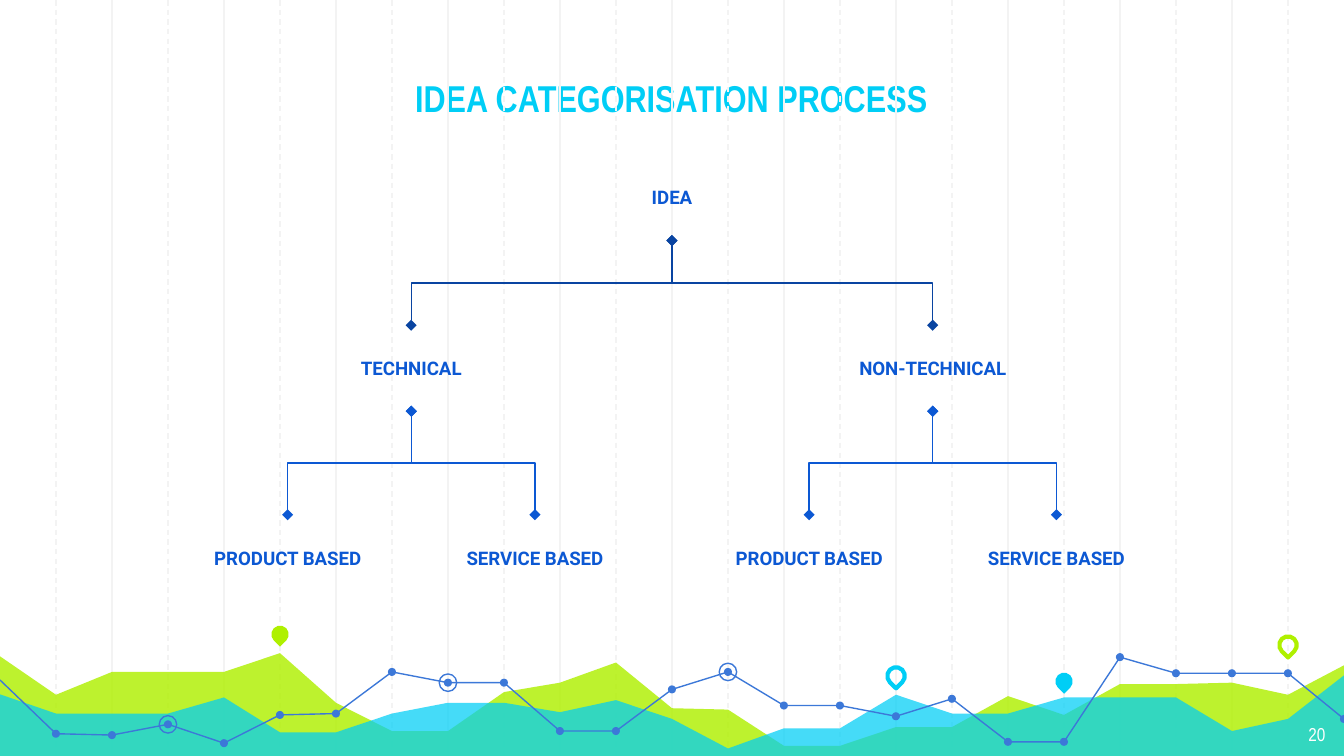
from itertools import chain

from lxml import etree
from pptx import Presentation
from pptx import util as u
from pptx.dml.color import RGBColor
from pptx.enum import dml, shapes, text
from pptx.oxml.ns import qn

TITLE = "IDEA CATEGORISATION PROCESS"
PAGE_NUMBER = "20"
LEVELS = [
    ["IDEA"],
    ["TECHNICAL", "NON-TECHNICAL"],
    ["PRODUCT BASED", "SERVICE BASED", "PRODUCT BASED", "SERVICE BASED"],
]
LEVEL_TOPS = [1.15, 2.42, 3.83]
BRANCH_OFFSETS = [1.94, 0.92]
NODE_SIZE = (1.68, 0.64)

GREEN_HILL = [4.87, 5.17, 5, 5, 5, 4.86, 5.23, 5.44, 5.44, 5.15, 5.08, 4.93, 5.27,
              5.28, 5.55, 5.55, 5.41, 5.41, 5.18, 5.32, 5.09, 5.09, 5.08, 5.17, 4.94]
CYAN_HILL = [5.16, 5.31, 5.31, 5.31, 5.19, 5.45, 5.45, 5.31, 5.23, 5.23, 5.3, 5.21, 5.35,
             5.57, 5.42, 5.42, 5.17, 5.31, 5.31, 5.19, 5.19, 5.19, 5.44, 5.35, 5.01]
TREND = [5.06, 5.46, 5.47, 5.39, 5.53, 5.32, 5.31, 5, 5.08, 5.08, 5.44, 5.44, 5.13,
         5, 5.25, 5.25, 5.33, 5.2, 5.52, 5.52, 4.89, 5.01, 5.01, 5.01, 5.35]
TREND_BREAKS = [0, 11, 20, 24]
RINGED_COLUMNS = [3, 8, 13]
PINS = [(5, 4.72, "green", True), (16, 5.03, "cyan", False),
        (19, 5.07, "cyan", True), (23, 4.8, "green", False)]

THEME = {
    "green": "AFF000", "cyan": "00CEF6", "trend": "3C78D8", "grid": "F3F3F3",
    "node": "0C58D3", "branches": ["0944A1", "0C58D3"], "white": "FFFFFF",
    "title_size": 20, "body_size": 10,
    "heading_font": "Arial Narrow", "node_font": "Roboto",
}
COLUMNS = 24
WIDTH, HEIGHT, HILL_FLOOR = 10, 5.625, 5.65
DOT, RING = 0.06, 0.13


def length(inches):
    return u.Cm(inches * 2.54)


def column_x(column):
    return column * WIDTH / COLUMNS


def apply(target, values):
    for name, value in values.items():
        setattr(target, name, value)


def color(name):
    return RGBColor.from_string(THEME.get(name, name))


def paint(shape, fill=None, outline=None, weight=0.75):
    shape.shadow.inherit = False
    if fill:
        shape.fill.solid()
        shape.fill.fore_color.rgb = color(fill)
    else:
        shape.fill.background()
    if outline:
        shape.line.color.rgb = color(outline)
        shape.line.width = u.Pt(weight)
    else:
        shape.line.fill.background()


def write(box, words, font, size, tint, align, anchor, bold=True):
    frame = box.text_frame
    apply(frame, {"word_wrap": True, "auto_size": text.MSO_AUTO_SIZE.NONE,
                  "vertical_anchor": anchor, "text": words,
                  **{f"margin_{side}": length(0.1) for side in ("left", "top", "right", "bottom")}})
    paragraph = frame.paragraphs[0]
    paragraph.alignment = align
    run_font = paragraph.runs[0].font
    apply(run_font, {"name": THEME[font], "size": u.Pt(THEME[size]), "bold": bold})
    run_font.color.rgb = color(tint)


def add_line(kind, start, end, tint):
    line = slide.shapes.add_connector(kind, *map(length, (*start, *end)))
    line.line.color.rgb = color(tint)
    line.line.width = u.Pt(0.75)
    etree.SubElement(line._element.spPr, qn("a:effectLst"))
    return line


def add_path(points, close):
    points = [(length(x), length(y)) for x, y in points]
    builder = slide.shapes.build_freeform(*points[0])
    builder.add_line_segments(points[1:], close=close)
    return builder.convert_to_shape()


def add_centered(kind, x, y, size):
    return slide.shapes.add_shape(
        kind, *map(length, (x - size / 2, y - size / 2, size, size)))


def add_hill(heights, tint, opacity):
    crest = [(column_x(i), y) for i, y in enumerate(heights)]
    crest[0], crest[-1] = (-0.02, heights[0]), (10.02, heights[-1])
    hill = add_path([*crest, (10.02, HILL_FLOOR), (-0.03, HILL_FLOOR)], True)
    paint(hill, fill=tint)
    tone = hill._element.spPr.find(f"{qn('a:solidFill')}/{qn('a:srgbClr')}")
    etree.SubElement(tone, qn("a:alpha"), val=str(opacity * 1000))


def add_branch(parent, child, tint):
    (px, py), (cx, cy) = parent, child
    middle_x, middle_y = (px + cx) / 2, (py + cy) / 2
    half_run = (cy - py) / 2 * (1 if cx > px else -1)
    half_rise = abs(cx - px) / 2
    branch = add_line(shapes.MSO_CONNECTOR.ELBOW,
                      (middle_x + half_run, middle_y - half_rise),
                      (middle_x - half_run, middle_y + half_rise), tint)
    properties = branch._element.spPr
    properties.find(qn("a:xfrm")).set("rot", str(270 * 60000))
    for tip in ("a:headEnd", "a:tailEnd"):
        etree.SubElement(properties.find(qn("a:ln")), qn(tip), type="diamond")


deck = Presentation()
apply(deck, {"slide_width": length(WIDTH), "slide_height": length(HEIGHT)})
slide = deck.slides.add_slide(deck.slide_layouts[5])

for column in chain(range(2, COLUMNS, 2), range(1, COLUMNS, 2)):
    x = column_x(column)
    guide = add_line(shapes.MSO_CONNECTOR.STRAIGHT, (x, 0), (x, HEIGHT), "grid")
    if column % 2:
        guide.line.dash_style = dml.MSO_LINE.DASH

add_hill(GREEN_HILL, "green", 82)
add_hill(CYAN_HILL, "cyan", 73)

for column, y, tint, solid in PINS:
    pin = add_centered(shapes.MSO_SHAPE.TEAR, column_x(column), y, RING)
    pin.rotation = 135
    paint(pin, **({"fill": tint} if solid else {"outline": tint, "weight": 2.25}))

trend_points = [(column_x(i), y) for i, y in enumerate(TREND)]
for first, last in zip(TREND_BREAKS, TREND_BREAKS[1:]):
    paint(add_path(trend_points[first:last + 1], False), outline="trend")
for point in trend_points[1:]:
    paint(add_centered(shapes.MSO_SHAPE.OVAL, *point, DOT), fill="trend")
for column in RINGED_COLUMNS:
    paint(add_centered(shapes.MSO_SHAPE.OVAL, *trend_points[column], RING), outline="trend")

title = slide.shapes.title
apply(title, dict(zip(("left", "top", "width", "height"), map(length, (1.17, 0.21, 7.65, 0.78)))))
write(title, TITLE, "heading_font", "title_size", "cyan",
      text.PP_ALIGN.CENTER, text.MSO_ANCHOR.BOTTOM)
number = slide.shapes.add_textbox(*map(length, (9.36, 5.28, 0.6, 0.35)))
write(number, PAGE_NUMBER, "heading_font", "body_size", "white",
      text.PP_ALIGN.RIGHT, text.MSO_ANCHOR.TOP, bold=False)

node_width, node_height = NODE_SIZE
centers = [[WIDTH / 2]]
for offset in BRANCH_OFFSETS:
    centers.append([x + side * offset for x in centers[-1] for side in (-1, 1)])

for depth, tint in enumerate(THEME["branches"]):
    for i, child_x in enumerate(centers[depth + 1]):
        add_branch((centers[depth][i // 2], LEVEL_TOPS[depth] + node_height),
                   (child_x, LEVEL_TOPS[depth + 1]), tint)

for labels, xs, top in zip(LEVELS, centers, LEVEL_TOPS):
    for label, x in zip(labels, xs):
        node = slide.shapes.add_textbox(
            *map(length, (x - node_width / 2, top, node_width, node_height)))
        write(node, label, "node_font", "body_size", "node",
              text.PP_ALIGN.CENTER, text.MSO_ANCHOR.MIDDLE)

deck.save("out.pptx")
